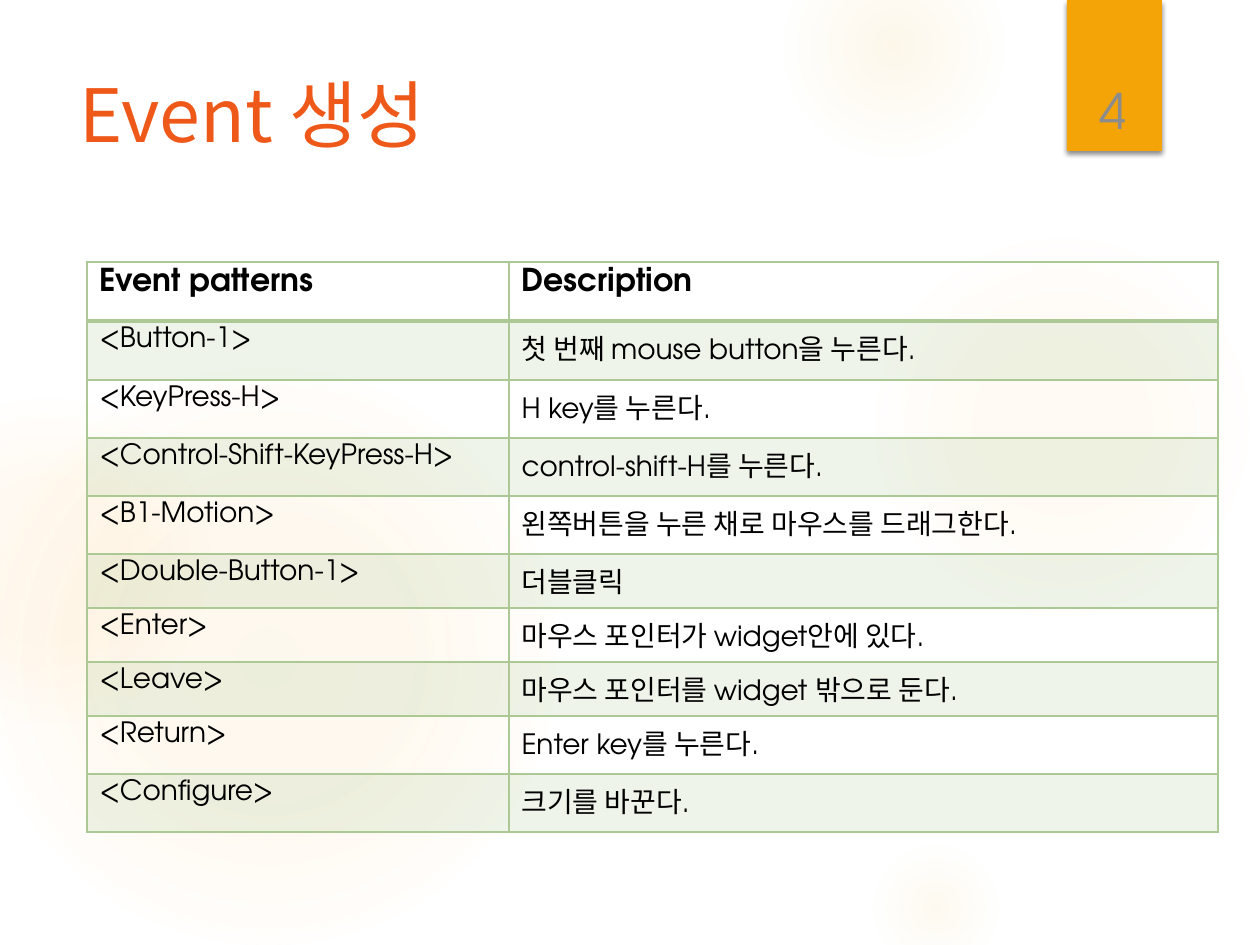
from lxml.etree import SubElement
from pptx import Presentation
from pptx.dml.color import RGBColor
from pptx.enum.shapes import MSO_SHAPE
from pptx.enum.text import MSO_ANCHOR, PP_ALIGN
from pptx.oxml import parse_xml
from pptx.oxml.ns import nsdecls, qn
from pptx.util import Emu, Pt

KOREAN, LATIN = "Noto Sans CJK KR", "TeX Gyre Adventor"
ORANGE, GLOW, GREEN = "F5A408", "FAC96A", "ACC995"

# left, top, diameter, then (position %, opacity %) stops
GLOWS = [
    (868, 231, 388, [(0, 7), (36, 6), (69, 0)]),
    (784, -63, 220, [(0, 14), (36, 7), (73, 0)]),
    (868, 840, 136, [(0, 10), (31, 5), (66, 0)]),
    (-21, 368, 577, [(0, 11), (36, 10), (75, 0)]),
    (-116, 399, 325, [(0, 8), (36, 8), (72, 0)]),
]
EVENTS = [
    ("Event patterns", "Description"),
    ("<Button-1>", "첫 번째 mouse button을 누른다."),
    ("<KeyPress-H>", "H key를 누른다."),
    ("<Control-Shift-KeyPress-H>", "control-shift-H를 누른다."),
    ("<B1-Motion>", "왼쪽버튼을 누른 채로 마우스를 드래그한다."),
    ("<Double-Button-1>", "더블클릭"),
    ("<Enter>", "마우스 포인터가 widget안에 있다."),
    ("<Leave>", "마우스 포인터를 widget 밖으로 둔다."),
    ("<Return>", "Enter key를 누른다."),
    ("<Configure>", "크기를 바꾼다."),
]
COLUMN_WIDTHS = [422, 709]
ROW_HEIGHTS = [59, 59, 58, 58, 58, 54, 54, 54, 58, 58]


def px(n):
    return Emu(round(n * 914400 / 126))


def rgb(color):
    return RGBColor.from_string(color)


def color_xml(color, opacity):
    return f'<a:srgbClr val="{color}"><a:alpha val="{opacity * 1000}"/></a:srgbClr>'


class Deck:
    def __init__(self, width, height):
        self.prs = Presentation()
        self.prs.slide_width, self.prs.slide_height = px(width), px(height)
        self.s = self.prs.slides.add_slide(self.prs.slide_layouts[6])

    def shape(self, kind, x, y, w, h):
        sp = self.s.shapes.add_shape(kind, px(x), px(y), px(w), px(h))
        sp.shadow.inherit = False
        sp.line.fill.background()
        return sp

    def glow(self, x, y, size, stops):
        """Add a circle that fades out from its centre."""
        sp = self.shape(MSO_SHAPE.OVAL, x, y, size, size)
        gs = "".join(f'<a:gs pos="{pos * 1000}">{color_xml(GLOW, opacity)}</a:gs>'
                     for pos, opacity in stops)
        grad = parse_xml(
            f'<a:gradFill {nsdecls("a")}><a:gsLst>{gs}</a:gsLst><a:path path="circle">'
            '<a:fillToRect l="50000" t="50000" r="50000" b="50000"/></a:path></a:gradFill>')
        sp._element.spPr.find(qn("a:prstGeom")).addnext(grad)

    def tab(self, x, y, w, h):
        """Add the page tab with a soft shadow below it."""
        sp = self.shape(MSO_SHAPE.RECTANGLE, x, y, w, h)
        sp.fill.solid()
        sp.fill.fore_color.rgb = rgb(ORANGE)
        shadow = parse_xml(
            f'<a:outerShdw {nsdecls("a")} blurRad="{Pt(3)}" dist="{Pt(2)}" dir="5400000" '
            f'rotWithShape="0">{color_xml("000000", 45)}</a:outerShdw>')
        sp._element.spPr.find(qn("a:effectLst")).append(shadow)

    def style(self, p, size, font, color, bold=False):
        for r in p.runs:
            r.font.size, r.font.bold, r.font.name = Pt(size), bold, font
            r.font.color.rgb = rgb(color)
            SubElement(r.font._element, qn("a:ea")).set("typeface", KOREAN)

    def text(self, x, y, w, h, text, size, font, color,
             align=PP_ALIGN.LEFT, anchor=MSO_ANCHOR.TOP):
        tf = self.s.shapes.add_textbox(px(x), px(y), px(w), px(h)).text_frame
        tf.word_wrap = True
        tf.vertical_anchor = anchor
        tf.text = text
        p = tf.paragraphs[0]
        p.alignment = align
        self.style(p, size, font, color)

    def borders(self, cell, widths):
        tcPr = cell._tc.get_or_add_tcPr()
        for i, (side, width) in enumerate(zip("LRTB", widths)):
            tcPr.insert(i, parse_xml(
                f'<a:ln{side} {nsdecls("a")} w="{Pt(width)}"><a:solidFill>'
                f'<a:srgbClr val="{GREEN}"/></a:solidFill></a:ln{side}>'))

    def table(self, x, y, rows, widths, heights):
        table = self.s.shapes.add_table(len(rows), len(widths), px(x), px(y),
                                        px(sum(widths)), px(sum(heights))).table
        table.first_row = table.horz_banding = False
        for column, width in zip(table.columns, widths):
            column.width = px(width)
        for i, (row, height) in enumerate(zip(rows, heights)):
            table.rows[i].height = px(height)
            for j, text in enumerate(row):
                cell = table.cell(i, j)
                cell.text = text
                self.style(cell.text_frame.paragraphs[0], 16 if i else 18,
                           LATIN, "000000", bold=i == 0)
                if i % 2:
                    cell.fill.solid()
                    cell.fill.fore_color.rgb = rgb(GREEN)
                    clr = cell._tc.tcPr.find(".//" + qn("a:srgbClr"))
                    SubElement(clr, qn("a:alpha")).set("val", "20000")
                else:
                    cell.fill.background()
                self.borders(cell, (1, 1, 2 if i == 1 else 1, 1 if i else 2))


def main():
    deck = Deck(1260, 945)
    for glow in GLOWS:
        deck.glow(*glow)
    deck.tab(1067, 0, 95, 151)
    deck.text(67, 63, 973, 193, "Event 생성", 42, KOREAN, "EE5818")
    deck.table(87, 262, EVENTS, COLUMN_WIDTHS, ROW_HEIGHTS)
    deck.text(1070, 40, 87, 106, "4", 28, LATIN, "8C8C8C",
              PP_ALIGN.CENTER, MSO_ANCHOR.BOTTOM)
    deck.prs.save("out.pptx")


if __name__ == "__main__":
    main()
